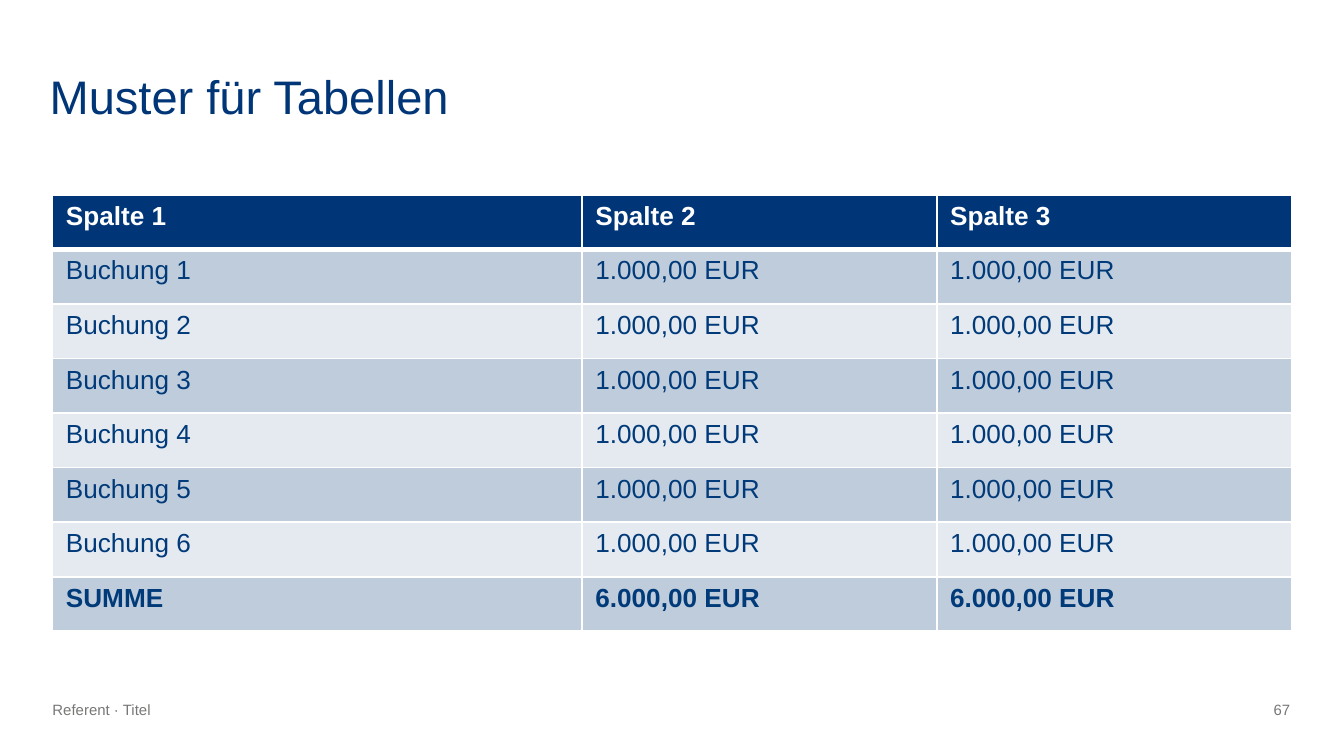
"""Build a slide with a sample booking table."""
from lxml import etree
from pptx import Presentation
from pptx import util as u
from pptx.dml.color import RGBColor
from pptx.enum import text
from pptx.oxml import ns

COLORS = {"navy": "003677", "body": "003A79", "white": "FFFFFF", "gray": "777776"}
FONT = "Arial"
COLUMN_WIDTHS = (3.94, 2.64, 2.64)
TABLE_HEIGHT = 3.25
ROWS = [
    ("Spalte 1", "Spalte 2", "Spalte 3"),
    *[(f"Buchung {number}", "1.000,00 EUR", "1.000,00 EUR") for number in range(1, 7)],
    ("SUMME", "6.000,00 EUR", "6.000,00 EUR"),
]


def write(paragraph, content, *, size, color, bold=False):
    run = paragraph.add_run()
    run.text = content
    run.font.name = FONT
    run.font.size = u.Pt(size)
    run.font.bold = bold
    run.font.color.rgb = RGBColor.from_string(COLORS[color])


def add_text(slide, content, box, *, align=text.PP_ALIGN.LEFT, spacing=None, **style):
    frame = slide.shapes.add_textbox(*map(u.Inches, box)).text_frame
    frame.word_wrap = True
    frame.vertical_anchor = text.MSO_ANCHOR.MIDDLE
    frame.margin_left = frame.margin_top = frame.margin_right = frame.margin_bottom = 0
    paragraph = frame.paragraphs[0]
    paragraph.alignment = align
    if spacing:
        paragraph.line_spacing = u.Pt(spacing)
    write(paragraph, content, **style)


def set_borders(cell, *, top=1, bottom=1):
    properties = cell._tc.get_or_add_tcPr()
    for side, width in (("L", 1), ("R", 1), ("T", top), ("B", bottom)):
        line = etree.SubElement(properties, ns.qn(f"a:ln{side}"), w=str(u.Pt(width)))
        fill = etree.SubElement(line, ns.qn("a:solidFill"))
        etree.SubElement(fill, ns.qn("a:srgbClr"), val=COLORS["white"])


def set_fill(cell, color, opacity):
    cell.fill.solid()
    cell.fill.fore_color.rgb = RGBColor.from_string(COLORS[color])
    if opacity < 100:
        value = cell._tc.tcPr.find(ns.qn("a:solidFill")).find(ns.qn("a:srgbClr"))
        etree.SubElement(value, ns.qn("a:alpha"), val=str(opacity * 1000))


def add_booking_table(slide, left, top):
    box = (left, top, sum(COLUMN_WIDTHS), TABLE_HEIGHT)
    table = slide.shapes.add_table(
        len(ROWS), len(COLUMN_WIDTHS), *map(u.Inches, box)
    ).table
    for column, width in zip(table.columns, COLUMN_WIDTHS):
        column.width = u.Inches(width)
    for row_index, values in enumerate(ROWS):
        table.rows[row_index].height = u.Inches(TABLE_HEIGHT / len(ROWS))
        header = row_index == 0
        opacity = 100 if header else 25 if row_index % 2 else 10
        for column_index, value in enumerate(values):
            cell = table.cell(row_index, column_index)
            set_borders(cell, top=3 if row_index == 1 else 1, bottom=3 if header else 1)
            set_fill(cell, "navy", opacity)
            write(cell.text_frame.paragraphs[0], value, size=14,
                  color="white" if header else "body",
                  bold=header or row_index == len(ROWS) - 1)


def main():
    presentation = Presentation()
    presentation.slide_width = u.Inches(10)
    presentation.slide_height = u.Inches(10 * 9 / 16)
    slide = presentation.slides.add_slide(presentation.slide_layouts[6])
    add_text(slide, "67", (9.18, 5.24, 0.42, 0.08), size=8, color="gray",
             align=text.PP_ALIGN.RIGHT)
    add_text(slide, "Referent · Titel", (0.39, 5.15, 9.21, 0.26), size=8, color="gray")
    add_text(slide, "Muster für Tabellen", (0.37, 0.49, 9.23, 0.39), size=25.2,
             color="navy", spacing=34)
    add_booking_table(slide, 0.39, 1.45)
    presentation.save("out.pptx")


if __name__ == "__main__":
    main()
